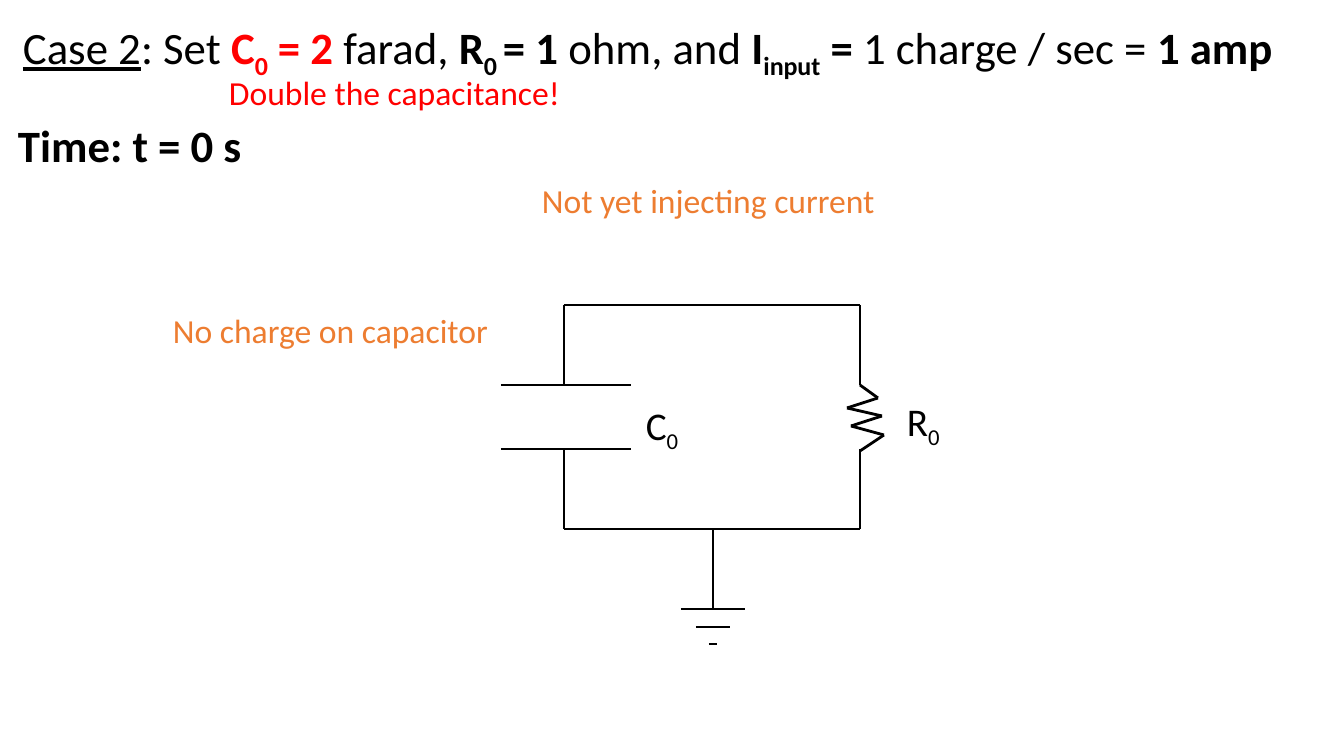
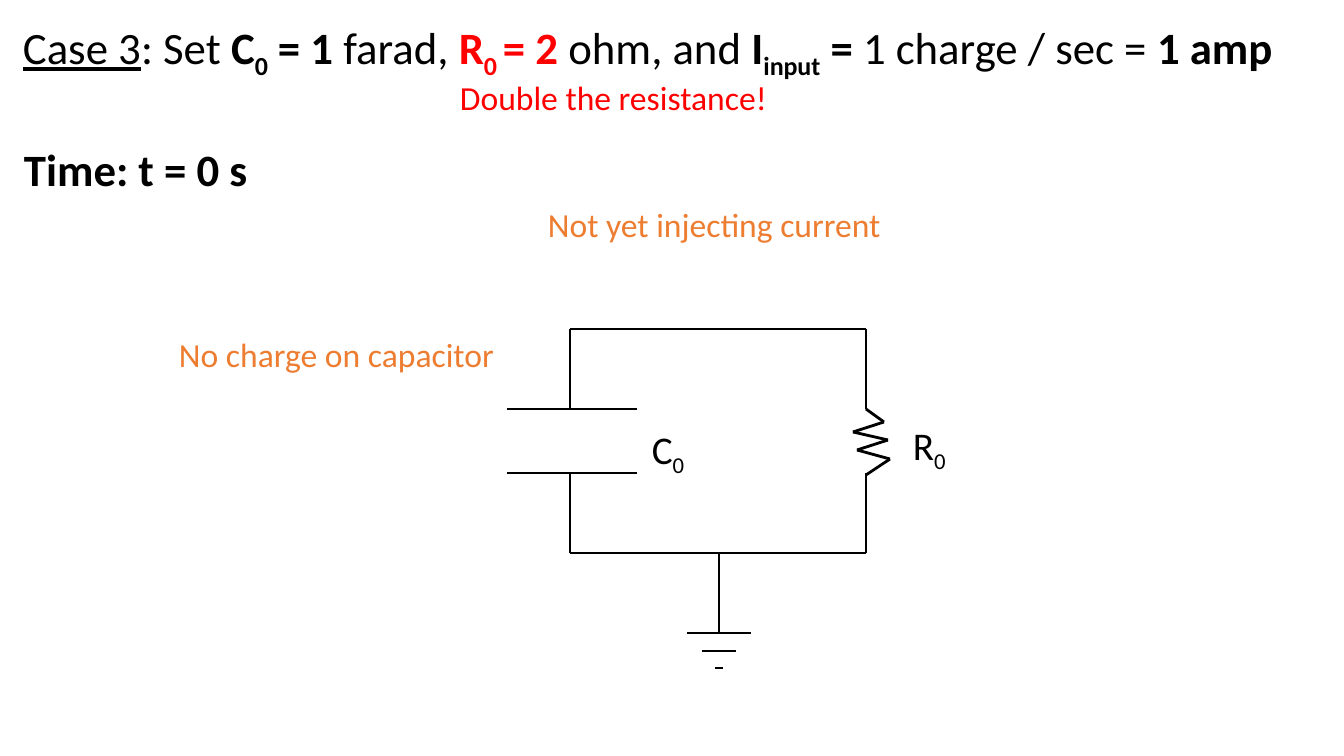
from itertools import pairwise

from lxml import etree
from pptx import Presentation
from pptx.dml.color import RGBColor
from pptx.enum.shapes import MSO_CONNECTOR
from pptx.enum.text import MSO_AUTO_SIZE
from pptx.oxml.ns import qn
from pptx.util import Pt

EMU_PER_PIXEL = 914400 / 100.8
FONT = "Calibri"
BLACK, RED, ORANGE = "000000", "FF0000", "ED7D31"
HEADING, LABEL, NOTE = 32, 28, 24

LEFT, RIGHT, GROUND = 564, 860, 713
TOP, UPPER_PLATE, LOWER_PLATE, BOTTOM = 305, 385, 449, 529
PLATE_START, PLATE_END = 501, 631
RESISTOR = [(RIGHT, UPPER_PLATE), (878, 398), (847, 408), (882, 416),
            (851, 426), (884, 435), (RIGHT, 451)]
GROUND_BARS = [(609, 32), (627, 17), (644, 4)]


def px(value):
    return round(value * EMU_PER_PIXEL)


def color(hex_code):
    return RGBColor.from_string(hex_code)


def run(text, bold=False, underline=False, sub=False, hex_code=None):
    return text, bold, underline, sub, hex_code


def add_text(shapes, box, runs, size, default=BLACK):
    shape = shapes.add_textbox(*map(px, box))
    frame = shape.text_frame
    frame.word_wrap = False
    frame.auto_size = MSO_AUTO_SIZE.SHAPE_TO_FIT_TEXT
    for text, bold, underline, sub, hex_code in runs:
        piece = frame.paragraphs[0].add_run()
        piece.text = text
        font = piece.font
        font.name, font.size = FONT, Pt(size)
        font.bold, font.underline = bold, underline
        font.color.rgb = color(hex_code or default)
        if sub:
            font._element.set("baseline", "-25000")


def add_line(shapes, start, end):
    line = shapes.add_connector(MSO_CONNECTOR.STRAIGHT, *map(px, start + end))
    line.line.color.rgb = color(BLACK)
    line.line.width = Pt(2)
    etree.SubElement(line._element.spPr, qn("a:effectLst"))


def add_title(slide, case, farads, ohms, doubled):
    c_color = RED if doubled == "C" else BLACK
    r_color = RED if doubled == "R" else BLACK
    add_text(slide.shapes, (13, 15, 1297, 65), [
        run(case, underline=True),
        run(": Set "),
        run("C", bold=True, hex_code=c_color),
        run("0", bold=True, sub=True, hex_code=c_color),
        run(f" = {farads} ", bold=True, hex_code=c_color),
        run("farad, "),
        run("R", bold=True, hex_code=r_color),
        run("0 ", bold=True, sub=True, hex_code=r_color),
        run(f"= {ohms} ", bold=True, hex_code=r_color),
        run("ohm, and "),
        run("I", bold=True),
        run("input", bold=True, sub=True),
        run(" = ", bold=True),
        run("1 charge / sec = "),
        run("1 amp", bold=True),
    ], HEADING)


def add_circuit(slide, dx, dy):
    shapes = slide.shapes.add_group_shape().shapes
    wires = [
        ((LEFT, TOP), (RIGHT, TOP)),
        ((LEFT, BOTTOM), (RIGHT, BOTTOM)),
        ((GROUND, BOTTOM), (GROUND, GROUND_BARS[0][0])),
    ]
    for x in (LEFT, RIGHT):
        wires += [((x, TOP), (x, UPPER_PLATE)), ((x, LOWER_PLATE), (x, BOTTOM))]
    plates = [((PLATE_START, y), (PLATE_END, y)) for y in (UPPER_PLATE, LOWER_PLATE)]
    bars = [((GROUND - half, y), (GROUND + half, y)) for y, half in GROUND_BARS]
    for (x1, y1), (x2, y2) in wires + plates + list(pairwise(RESISTOR)) + bars:
        add_line(shapes, (x1 + dx, y1 + dy), (x2 + dx, y2 + dy))
    for letter, x, y in (("R", 897, 392), ("C", 636, 396)):
        add_text(shapes, (x + dx, y + dy, 55, 57),
                 [run(letter), run("0", sub=True)], LABEL)


def add_state(slide, dx, dy):
    add_text(slide.shapes, (8 + dx, 113 + dy, 246, 65),
             [run("Time: t = 0 s", bold=True)], HEADING)
    for text, x, y, width in (("No charge on capacitor", 163, 305, 338),
                              ("Not yet injecting current", 532, 175, 357)):
        add_text(slide.shapes, (x + dx, y + dy, width, 50), [run(text)], NOTE, ORANGE)


def add_case(prs, case, farads, ohms, doubled, remark, remark_box, offset):
    slide = prs.slides.add_slide(prs.slide_layouts[6])
    add_title(slide, case, farads, ohms, doubled)
    add_text(slide.shapes, remark_box, [run(remark)], NOTE, RED)
    add_circuit(slide, *offset)
    add_state(slide, *offset)


def main():
    prs = Presentation()
    prs.slide_width, prs.slide_height = px(1344), px(756)
    add_case(prs, "Case 2", 2, 1, "C", "Double the capacitance!",
             (219, 67, 355, 50), (0, 0))
    add_case(prs, "Case 3", 1, 2, "R", "Double the resistance!",
             (450, 72, 331, 50), (6, 24))
    prs.save("out.pptx")


main()
